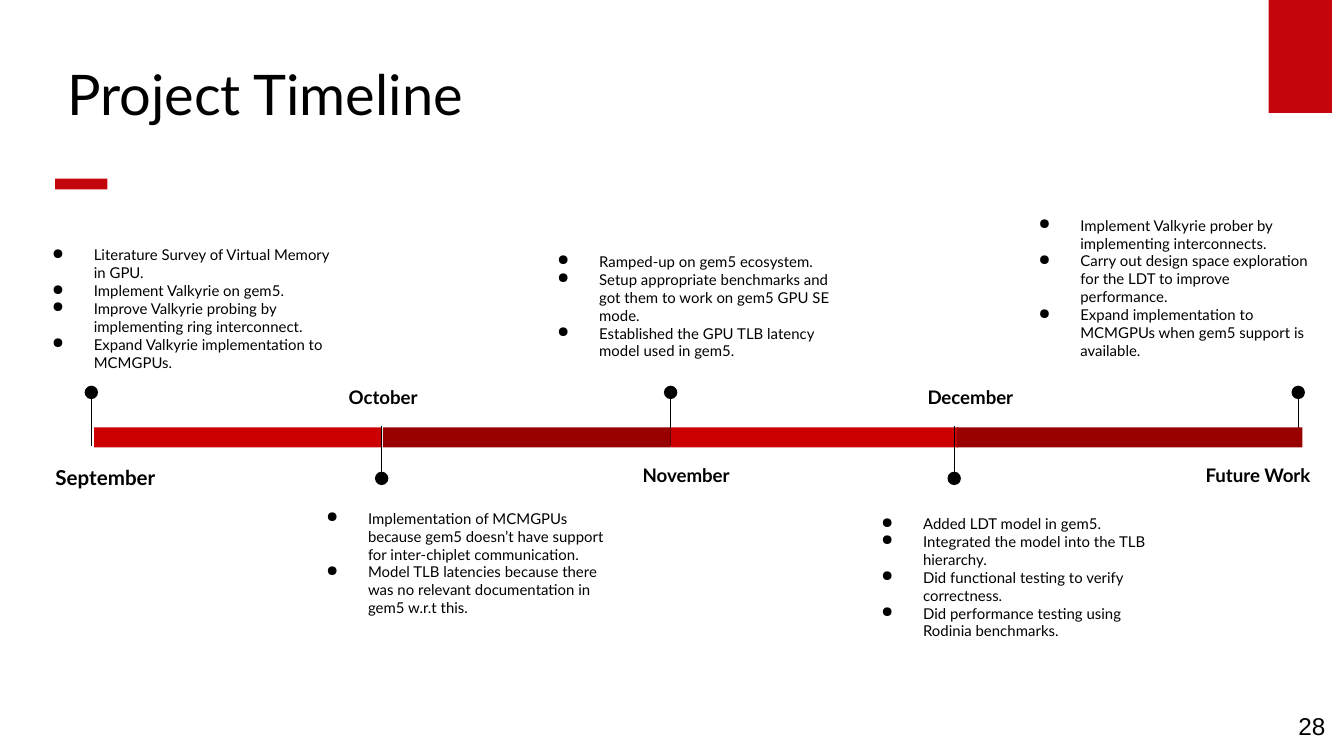
"""Build the project timeline slide."""
from dataclasses import dataclass
from typing import Optional

from lxml.etree import SubElement
from pptx import Presentation
from pptx.dml.color import RGBColor
from pptx.enum.shapes import MSO_CONNECTOR as Connector, MSO_SHAPE as Shape
from pptx.enum.text import MSO_ANCHOR as Anchor, PP_ALIGN as Align
from pptx.oxml.ns import qn
from pptx.slide import Slide
from pptx.text.text import TextFrame, _Paragraph as Paragraph
from pptx.util import Inches, Pt

BLACK = RGBColor(0x00, 0x00, 0x00)
ACCENT = RGBColor(0xC5, 0x05, 0x0C)
RED = RGBColor(0xCC, 0x00, 0x00)
DARK_RED = RGBColor(0x99, 0x00, 0x00)

CELL = Inches(0.1)
COLUMNS, ROWS = 100, 56.25
BAR_TOP, BAR_HEIGHT = 31.8, 1.5
DOT = 1
STEM = 3.9
TASKS_WIDTH, LABEL_HEIGHT = 24.6, 4.1


@dataclass(frozen=True)
class Area:
    """A rectangle in grid columns and rows."""
    left: float
    top: float
    width: float
    height: float

    def lengths(self) -> list[int]:
        """Return left, top, width and height as slide lengths."""
        return [grid(cells) for cells in (self.left, self.top, self.width, self.height)]


@dataclass(frozen=True)
class Bar:
    """One coloured stretch of the timeline."""
    left: float
    width: float
    color: RGBColor


@dataclass(frozen=True)
class Milestone:
    """A pin on the timeline with its label and tasks."""
    name: str
    column: float
    pin_up: bool
    label_left: float
    label_width: float
    tasks_left: float
    tasks_top: float
    tasks_height: float
    tasks: tuple[str, ...]
    bar: Optional[Bar] = None
    label_size: float = 10


MILESTONES = (
    Milestone("Future Work", 96.6, True, 88, 11.2, 74.4, 15.1, 12.4, (
        "Implement Valkyrie prober by implementing interconnects.",
        "Carry out design space exploration for the LDT to improve performance.",
        "Expand implementation to MCMGPUs when gem5 support is available.")),
    Milestone("November", 49.9, True, 46.4, 9.3, 38.6, 17.8, 10.3, (
        "Ramped-up on gem5 ecosystem.",
        "Setup appropriate benchmarks and got them to work on gem5 GPU SE mode.",
        "Established the GPU TLB latency model used in gem5."), Bar(49.9, 21.4, RED)),
    Milestone("September", 6.8, True, 2.1, 11.5, 1, 17.3, 10.3, (
        "Literature Survey of Virtual Memory in GPU.",
        "Implement Valkyrie on gem5.",
        "Improve Valkyrie probing by implementing ring interconnect.",
        "Expand Valkyrie implementation to MCMGPUs."), Bar(7, 21.4, RED), 11),
    Milestone("October", 28.4, False, 24.4, 8.2, 21.4, 36.9, 12.5, (
        "Implementation of MCMGPUs because gem5 doesn’t have support for inter-chiplet "
        "communication.",
        "Model TLB latencies because there was no relevant documentation in gem5 w.r.t "
        "this."), Bar(28.5, 21.4, DARK_RED)),
    Milestone("December", 71, False, 67, 10.4, 62.7, 37.3, 10.3, (
        "Added LDT model in gem5.",
        "Integrated the model into the TLB hierarchy.",
        "Did functional testing to verify correctness.",
        "Did performance testing using Rodinia benchmarks."), Bar(71.2, 25.7, DARK_RED)),
)


def grid(cells: float) -> int:
    """Convert grid cells to a slide length."""
    return round(cells * CELL)


def add_block(page: Slide, kind: Shape, area: Area, color: RGBColor) -> None:
    """Draw a filled preset shape without an outline."""
    block = page.shapes.add_shape(kind, *area.lengths())
    block.shadow.inherit = False
    block.fill.solid()
    block.fill.fore_color.rgb = color
    block.line.fill.background()


def add_stem(page: Slide, column: float, start: float, end: float) -> None:
    """Draw a thin vertical line."""
    stem = page.shapes.add_connector(
        Connector.STRAIGHT, grid(column), grid(start), grid(column), grid(end))
    stem.line.color.rgb = BLACK
    stem.line.width = Pt(0.75)
    SubElement(stem._element.spPr, qn("a:effectLst"))


def add_bullet(para: Paragraph) -> None:
    """Give a paragraph a hanging round bullet."""
    properties = para._p.get_or_add_pPr()
    properties.set("marL", str(Inches(0.5)))
    properties.set("indent", str(Inches(-0.31)))
    color = SubElement(properties, qn("a:buClr"))
    SubElement(color, qn("a:srgbClr"), val=str(BLACK))
    SubElement(properties, qn("a:buChar"), char="●")


def add_text(page: Slide, area: Area, lines: tuple[str, ...], size: float,
             font: str = "Lato", bold: bool = False, align: Align = Align.LEFT,
             inset: float = 1, bullets: bool = False) -> TextFrame:
    """Write lines of text in a box and return its frame."""
    frame = page.shapes.add_textbox(*area.lengths()).text_frame
    frame.word_wrap = True
    frame.margin_left = frame.margin_right = grid(inset)
    frame.margin_top = frame.margin_bottom = grid(inset)
    frame.text = "\n".join(lines)
    for para in frame.paragraphs:
        para.alignment = align
        if bullets:
            add_bullet(para)
        for span in para.runs:
            span.font.name = font
            span.font.size = Pt(size)
            span.font.bold = bold
            span.font.color.rgb = BLACK
    return frame


def add_milestone(page: Slide, item: Milestone) -> None:
    """Draw one milestone with its bar, pin, label and tasks."""
    if item.bar:
        add_block(page, Shape.RECTANGLE,
                  Area(item.bar.left, BAR_TOP, item.bar.width, BAR_HEIGHT), item.bar.color)
    stem_top, dot_top, label_top = (29.3, 28.7, 33.3) if item.pin_up else (31.7, 35.1, 27.5)
    add_stem(page, item.column, stem_top, stem_top + STEM)
    add_block(page, Shape.OVAL, Area(item.column - DOT / 2, dot_top, DOT, DOT), BLACK)
    label = add_text(page, Area(item.label_left, label_top, item.label_width, LABEL_HEIGHT),
                     (item.name,), item.label_size, bold=True, align=Align.CENTER)
    label.paragraphs[0].line_spacing = 1.15
    label.paragraphs[0].space_after = Pt(16)
    add_text(page, Area(item.tasks_left, item.tasks_top, TASKS_WIDTH, item.tasks_height),
             item.tasks, 8, bullets=True)


def main() -> None:
    """Build and save the deck."""
    deck = Presentation()
    deck.slide_width, deck.slide_height = grid(COLUMNS), grid(ROWS)
    page = deck.slides.add_slide(deck.slide_layouts[6])
    add_block(page, Shape.RECTANGLE, Area(94.4, 0, 4.7, 8.4), ACCENT)
    add_block(page, Shape.RECTANGLE, Area(4.1, 13.3, 3.9, 0.8), ACCENT)
    title = add_text(page, Area(5, 2.2, 90, 9.4), ("Project Timeline",), 30, inset=0)
    title.vertical_anchor = Anchor.MIDDLE
    add_text(page, Area(93.6, 51.9, 6, 4.3), ("28",), 13, font="Arial", align=Align.RIGHT)
    for item in MILESTONES:
        add_milestone(page, item)
    deck.save("out.pptx")


if __name__ == "__main__":
    main()
